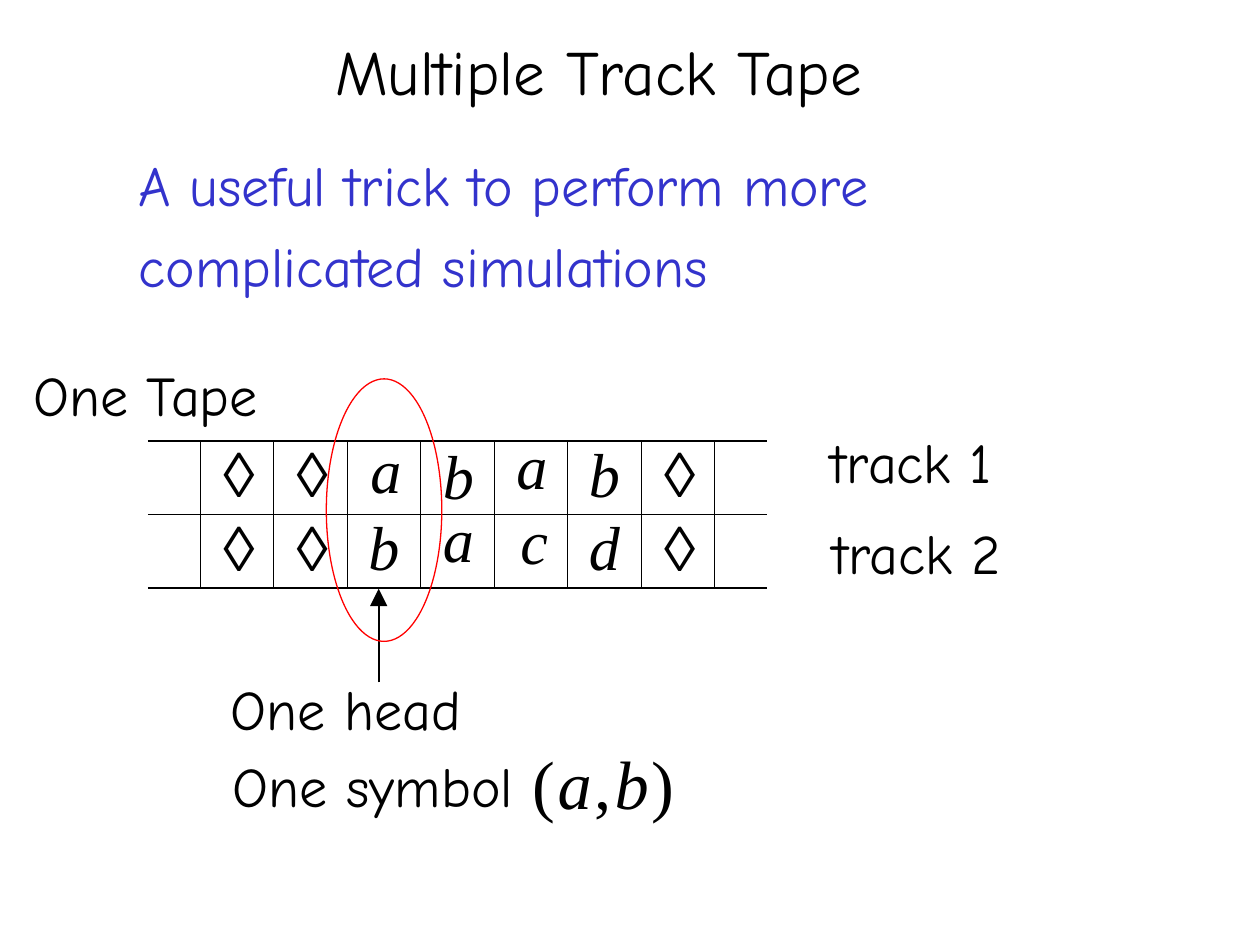
from dataclasses import dataclass
from typing import NamedTuple, Optional, Union

from lxml.etree import SubElement
from pptx import Presentation
from pptx.dml.color import RGBColor
from pptx.enum.shapes import MSO_CONNECTOR, MSO_SHAPE
from pptx.enum.text import PP_ALIGN
from pptx.oxml.ns import qn
from pptx.util import Pt


@dataclass(frozen=True)
class Theme:
    black: RGBColor = RGBColor(0, 0, 0)
    blue: RGBColor = RGBColor(0x33, 0x33, 0xCC)
    red: RGBColor = RGBColor(0xFF, 0, 0)
    hand: str = "Comic Neue"
    math: str = "Times New Roman"
    sign: str = "Arial"
    title: float = 36
    body: float = 32
    letter: float = 35.5
    tuple: float = 67.5
    thin: float = 0.75


THEME = Theme()


class Para(NamedTuple):
    text: str
    size: float = THEME.body
    color: RGBColor = THEME.black
    indent: float = 0
    before: float = 0
    lead: Optional[Union[float, Pt]] = None
    maths: str = ""


class Box(NamedTuple):
    left: float
    top: float
    width: float
    height: float
    inset: float
    paras: tuple[Para, ...]


class Cell(NamedTuple):
    text: str = ""
    lead: float = 40
    indent: float = 0
    font: str = THEME.math
    size: float = THEME.letter


def style(run, size: float, font: str, color: RGBColor = THEME.black) -> None:
    run.font.size, run.font.name = Pt(size), font
    run.font.color.rgb = color


def indent(para, gap: float) -> None:
    para._p.get_or_add_pPr().set("marL", str(Pt(gap)))


def add_maths(para, text: str) -> None:
    """Append a lowered formula with its letters in italics."""
    for char in text:
        run = para.add_run()
        run.text = char
        style(run, THEME.tuple, THEME.math)
        run.font.italic = char.isalpha()
        props = run._r.get_or_add_rPr()
        props.set("baseline", "-1000")
        props.set("spc", "160")


def add_text(slide, box: Box) -> None:
    shape = slide.shapes.add_textbox(
        Pt(box.left), Pt(box.top), Pt(box.width), Pt(box.height))
    frame = shape.text_frame
    frame.word_wrap = True
    frame.margin_left = frame.margin_right = frame.margin_bottom = 0
    frame.margin_top = Pt(box.inset)
    frame.text = "\n".join(item.text for item in box.paras)
    for para, item in zip(frame.paragraphs, box.paras):
        indent(para, item.indent)
        para.space_before = Pt(item.before)
        if item.lead:
            para.line_spacing = item.lead
        style(para.runs[0], item.size, THEME.hand, item.color)
        add_maths(para, item.maths)


def add_edge(props, side: str, show: bool) -> None:
    line = SubElement(props, qn(f"a:ln{side}"), w=str(Pt(THEME.thin)))
    if show:
        fill = SubElement(line, qn("a:solidFill"))
        SubElement(fill, qn("a:srgbClr"), val=str(THEME.black))
    else:
        SubElement(line, qn("a:noFill"))


def add_tape(slide, left: float, top: float, side: float, end: float,
             tracks: list[list[Cell]]) -> None:
    """Draw the tape as a table that is open at both ends."""
    count = len(tracks[0]) + 2
    widths = [end] + [side] * (count - 2) + [end]
    table = slide.shapes.add_table(
        len(tracks), count, Pt(left), Pt(top),
        Pt(sum(widths)), Pt(side * len(tracks))).table
    table.first_row = table.horz_banding = False
    for col, width in zip(table.columns, widths):
        col.width = Pt(width)
    for row, track in enumerate(tracks):
        table.rows[row].height = Pt(side)
        for col, item in enumerate([Cell(), *track, Cell()]):
            cell = table.cell(row, col)
            cell.margin_left = cell.margin_right = 0
            cell.margin_top = cell.margin_bottom = 0
            props = cell._tc.get_or_add_tcPr()
            for name in "LRTB":
                shut = (name, col) not in (("L", 0), ("R", count - 1))
                add_edge(props, name, shut)
            cell.fill.background()
            if item.text:
                cell.text_frame.text = item.text
                para = cell.text_frame.paragraphs[0]
                para.alignment = PP_ALIGN.CENTER
                para.line_spacing = Pt(item.lead)
                indent(para, item.indent)
                style(para.runs[0], item.size, item.font)
                para.runs[0].font.italic = item.font == THEME.math


def add_ring(slide, left: float, top: float, width: float, height: float) -> None:
    ring = slide.shapes.add_shape(
        MSO_SHAPE.OVAL, Pt(left), Pt(top), Pt(width), Pt(height))
    ring.shadow.inherit = False
    ring.fill.background()
    ring.line.color.rgb = THEME.red
    ring.line.width = Pt(THEME.thin)


def add_arrow(slide, x: float, start: float, tip: float) -> None:
    arrow = slide.shapes.add_connector(
        MSO_CONNECTOR.STRAIGHT, Pt(x), Pt(start), Pt(x), Pt(tip))
    arrow.line.color.rgb = THEME.black
    arrow.line.width = Pt(1)
    SubElement(arrow.line._get_or_add_ln(), qn("a:tailEnd"),
               type="triangle", w="lg", len="lg")
    SubElement(arrow._element.spPr, qn("a:effectLst"))


# Content
BLANK = Cell("◊", 40.1, 2, THEME.sign, THEME.title)
TRACKS = [
    [BLANK, BLANK, Cell("a", 37.5, 2), Cell("b", 41, 1),
     Cell("a", 35.3, 1), Cell("b", 39.8), BLANK],
    [BLANK, BLANK, Cell("b", 39.8), Cell("a", 35.3, 1),
     Cell("c", 36, 3.6), Cell("d", 39.8), BLANK],
]
TITLE = Box(18, 0, 685, 69, 18.7, (
    Para("Multiple Track Tape", THEME.title, indent=173.5),))
NOTES = [
    Box(473.8, 229.7, 113, 106, 14.4, (
        Para("track 1", indent=1),
        Para("track 2", indent=2, before=13.7))),
    Box(131, 386.6, 276.5, 89.3, 1.4, (
        Para("One head", indent=1, lead=Pt(35.8)),
        Para("One symbol ", indent=2, lead=Pt(51.4), maths="(a,b)"))),
    Box(18, 77, 529, 168.5, 0.7, (
        Para("A useful trick to perform more complicated simulations",
             color=THEME.blue, indent=61.2, lead=1.21),
        Para("One Tape", indent=1, before=35.2))),
]


def main() -> None:
    deck = Presentation()
    deck.slide_width, deck.slide_height = Pt(720), Pt(540)
    slide = deck.slides.add_slide(deck.slide_layouts[6])
    # Head pointer, title and tape
    add_arrow(slide, 216.4, 390, 336.5)
    add_text(slide, TITLE)
    add_tape(slide, 84.5, 252, 42, 30, TRACKS)
    # Marked symbol and labels
    add_ring(slide, 186.5, 216.5, 66, 150)
    for box in NOTES:
        add_text(slide, box)
    deck.save("out.pptx")


if __name__ == "__main__":
    main()
